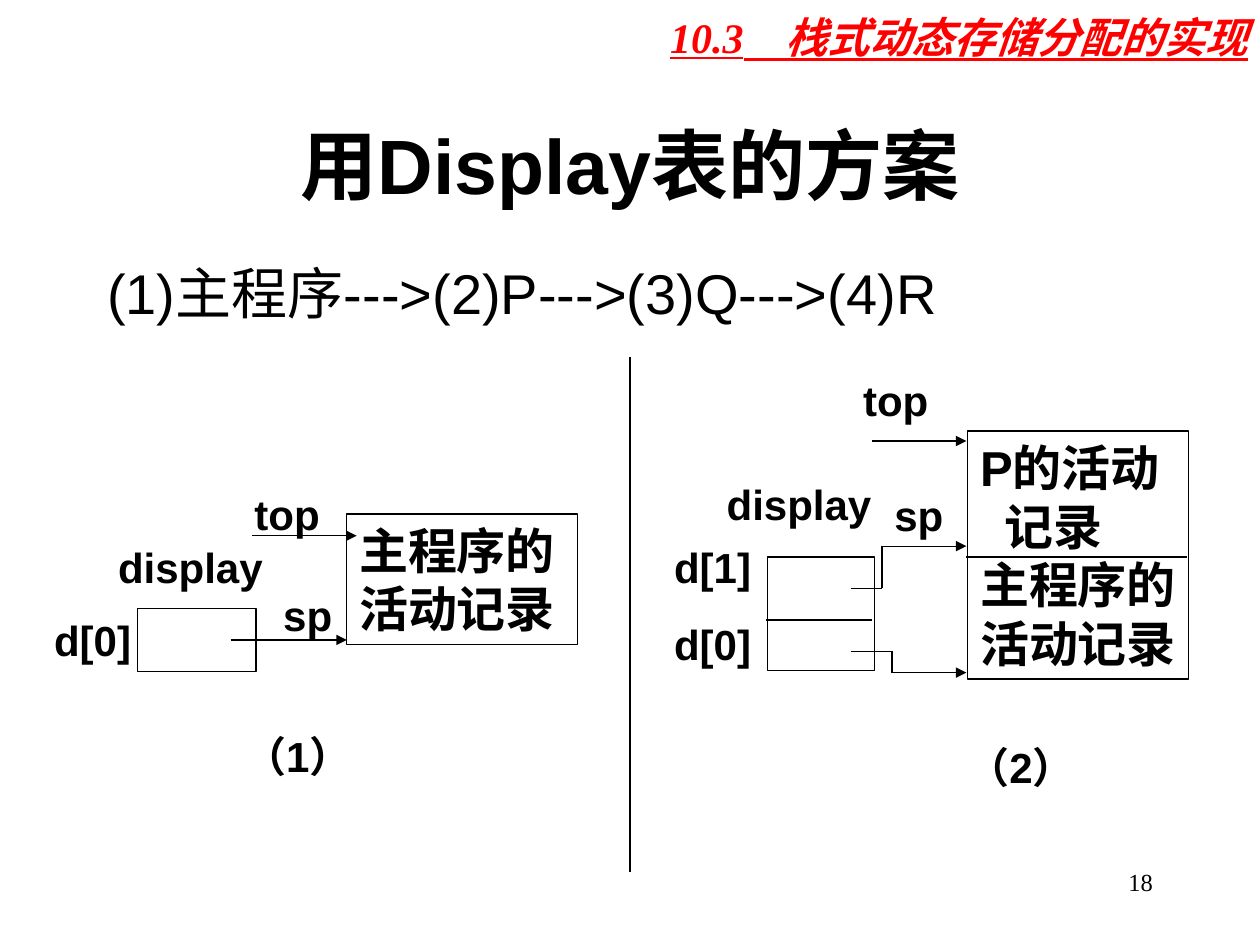
from dataclasses import dataclass
from itertools import pairwise

from lxml.etree import SubElement
from pptx import Presentation
from pptx.dml.color import RGBColor as RGB
from pptx.enum.shapes import MSO_CONNECTOR as LineKind, MSO_SHAPE as Shape
from pptx.enum.text import MSO_ANCHOR as Anchor, PP_ALIGN as Align
from pptx.oxml.ns import qn
from pptx.util import Cm, Pt


@dataclass(frozen=True)
class Theme:
    ink: RGB = RGB(0, 0, 0)
    accent: RGB = RGB(255, 0, 0)
    sans: str = "Arial"
    serif: str = "Times New Roman"
    title: int = 44
    body: int = 32
    record: int = 28
    label: int = 24
    page: int = 14
    rule: float = 0.75


THEME = Theme()


def write(frame, text, *, size, font=THEME.sans, color=THEME.ink, bold=True,
          italic=False, underline=False, align=Align.LEFT, anchor=Anchor.TOP,
          wrap=True, gap=0, indents=None):
    """Fill a frame, one paragraph a line; indents maps line number to cm."""
    frame.word_wrap = wrap
    frame.vertical_anchor = anchor
    for number, line in enumerate(text.split("\n")):
        par = frame.add_paragraph() if number else frame.paragraphs[0]
        if indents and number in indents:
            par._p.get_or_add_pPr().set("marL", str(Cm(indents[number])))
        par.alignment = align
        par.space_before = Pt(gap if number else 0)
        run = par.add_run()
        run.text = line
        style = run.font
        style.name, style.size, style.color.rgb = font, Pt(size), color
        style.bold, style.italic, style.underline = bold, italic, underline


class Board:
    """Holds the theme and the current slide; all lengths are in cm."""

    def __init__(self, slide, theme):
        self.slide, self.theme = slide, theme

    def title(self, text, *place):
        holder = self.slide.shapes.title
        holder.left, holder.top, holder.width, holder.height = map(Cm, place)
        write(holder.text_frame, text, size=self.theme.title,
              align=Align.CENTER, anchor=Anchor.MIDDLE)

    def text(self, text, *place, **style):
        area = self.slide.shapes.add_textbox(*map(Cm, place))
        write(area.text_frame, text, **{"size": self.theme.label, **style})

    def tag(self, text, left, top, width, **style):
        self.text(text, left, top, width, 1.27, wrap=False, **style)

    def box(self, *place, text="", **style):
        rect = self.slide.shapes.add_shape(Shape.RECTANGLE, *map(Cm, place))
        rect.shadow.inherit = False
        rect.fill.background()
        rect.line.color.rgb = self.theme.ink
        rect.line.width = Pt(self.theme.rule)
        if text:
            write(rect.text_frame, text, size=self.theme.record, **style)

    def route(self, *points, arrow=False):
        """Join the points with straight lines; an arrow ends the last one."""
        for start, end in pairwise(points):
            line = self.slide.shapes.add_connector(
                LineKind.STRAIGHT, *map(Cm, start + end))
            line.line.color.rgb = self.theme.ink
            line.line.width = Pt(self.theme.rule)
            props = line._element.spPr
            SubElement(props, qn("a:effectLst"))
            if arrow and end == points[-1]:
                SubElement(props.find(qn("a:ln")), qn("a:tailEnd"), type="triangle")


def draw_main_call(board):
    """Stack and display while the main program runs."""
    board.box(6.99, 10.36, 4.65, 2.64, text="主程序的\n活动记录")
    board.box(2.77, 12.27, 2.39, 1.27)
    board.tag("d[0]", 0.84, 12.27, 2.11)
    board.tag("display", 2.13, 10.8, 3.43)
    board.tag("sp", 5.46, 11.76, 1.5)
    board.tag("top", 4.88, 9.73, 1.96)
    board.tag("（1）", 4.67, 14.6, 3.07)
    board.route((4.65, 12.9), (6.99, 12.9), arrow=True)
    board.route((5.08, 10.8), (7.19, 10.8), arrow=True)


def draw_p_call(board):
    """Stack and display after P is called."""
    stack_edge = 19.48
    board.box(19.51, 8.69, 4.45, 5, text="P的活动\n记录\n主程序的\n活动记录",
              wrap=False, indents={1: 0.5})
    board.route((stack_edge, 11.23), (23.93, 11.23))
    board.box(15.47, 11.23, 2.16, 2.29)
    board.route((15.44, 12.5), (17.58, 12.5))
    board.text("d[1]\nd[0]", 13.34, 10.8, 2.54, 2.82, gap=15)
    board.tag("display", 14.4, 9.53, 3.43)
    board.tag("sp", 17.78, 9.75, 1.5)
    board.tag("top", 17.15, 7.42, 2.69)
    board.tag("（2）", 19.25, 14.83, 3.38)
    # Pointers from the display entries and the stack registers
    board.route((17.58, 8.89), (stack_edge, 8.89), arrow=True)
    for bend, entry, target in ((17.78, 11.86, 11.01), (17.98, 13.13, 13.56)):
        board.route((17.15, entry), (bend, entry), (bend, target),
                    (stack_edge, target), arrow=True)


def main():
    deck = Presentation()
    deck.slide_width, deck.slide_height = Cm(25.4), Cm(19.05)
    board = Board(deck.slides.add_slide(deck.slide_layouts[5]), THEME)

    # Headings
    board.title("用Display表的方案", 1.91, 1.7, 21.59, 3.18)
    board.text("(1)主程序--->(2)P--->(3)Q--->(4)R", 1.91, 5.08, 21.59, 11.43,
               size=THEME.body, bold=False)
    board.text("10.3　栈式动态存储分配的实现", 11.63, 0.2, 13.77, 1.07,
               font=THEME.serif, color=THEME.accent, italic=True,
               underline=True, align=Align.RIGHT, anchor=Anchor.MIDDLE)

    # Two stages side by side
    draw_main_call(board)
    board.route((12.7, 7.19), (12.7, 17.58))
    draw_p_call(board)

    # Page number
    board.text("18", 18.21, 17.35, 5.28, 1.27, size=THEME.page,
               font=THEME.serif, bold=False, align=Align.RIGHT)
    deck.save("out.pptx")


if __name__ == "__main__":
    main()
